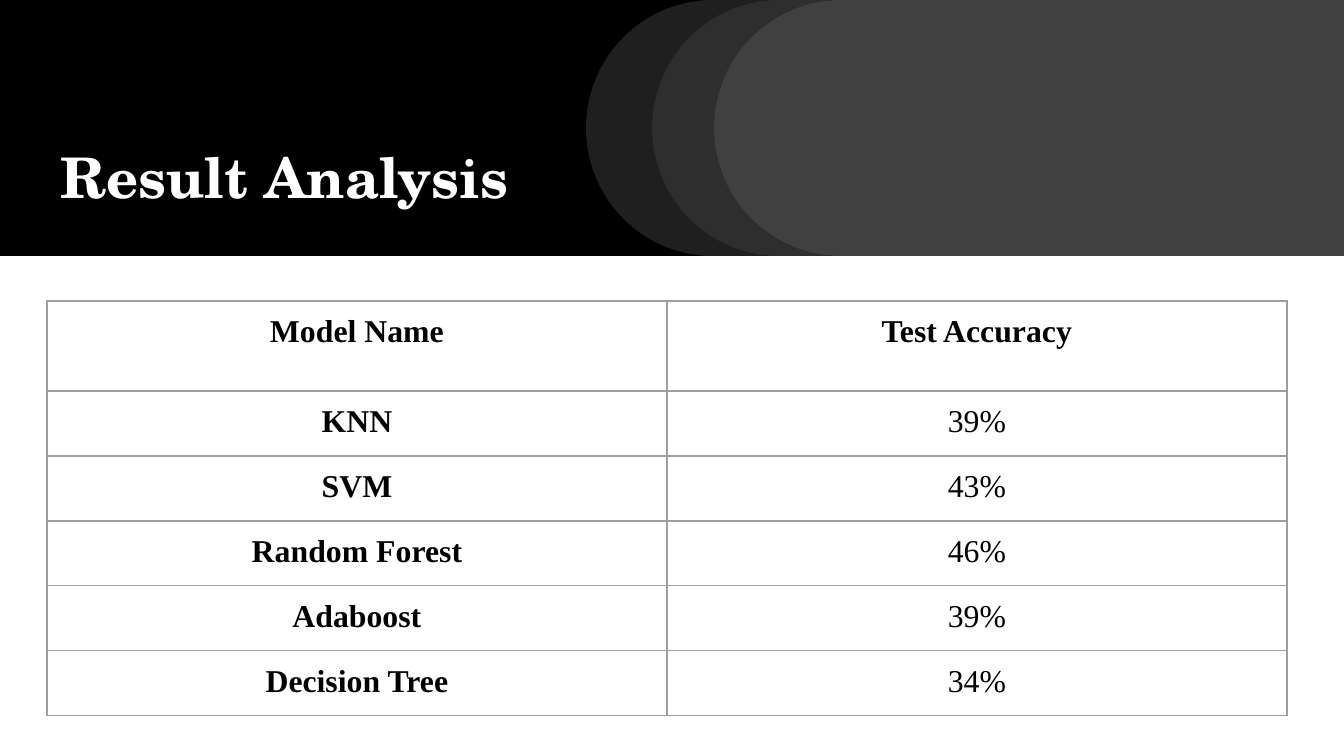
from dataclasses import dataclass

from lxml import etree
from pptx import Presentation
from pptx import util as u
from pptx.dml.color import RGBColor
from pptx.enum import shapes, text
from pptx.oxml import ns

EMU_PER_PX = 914400 / 134.4
SLIDE_W, SLIDE_H = 1344, 756
BANNER_H = 256
INSET = 13

RESULTS = [
    ("Model Name", "Test Accuracy"),
    ("KNN", "39%"),
    ("SVM", "43%"),
    ("Random Forest", "46%"),
    ("Adaboost", "39%"),
    ("Decision Tree", "34%"),
]


@dataclass(frozen=True)
class Theme:
    dark: str = "000000"
    light: str = "FFFFFF"
    border: str = "9E9E9E"
    title_font: str = "TeX Gyre Schola"
    table_font: str = "Times New Roman"
    title_size: int = 30
    table_size: int = 17
    border_width: float = 0.75


THEME = Theme()


def px(length):
    return u.Emu(round(length * EMU_PER_PX))


def set_attributes(target, values):
    for name, value in values.items():
        setattr(target, name, value)


def add_panel(slide, kind, box, color, opacity=100, rotation=0):
    """Add a borderless filled shape; opacity is a percentage."""
    panel = slide.shapes.add_shape(kind, *map(px, box))
    panel.rotation = rotation
    panel.shadow.inherit = False
    panel.line.fill.background()
    panel.fill.solid()
    panel.fill.fore_color.rgb = RGBColor.from_string(color)
    if opacity < 100:
        fill_color = panel._element.spPr.find(ns.qn("a:solidFill"))[0]
        etree.SubElement(fill_color, ns.qn("a:alpha"), val=str(opacity * 1000))


def add_banner(slide):
    rectangle = shapes.MSO_SHAPE.RECTANGLE
    curve = shapes.MSO_SHAPE.FLOWCHART_DELAY
    add_panel(slide, rectangle, (0, 0, SLIDE_W, BANNER_H), THEME.dark)
    add_panel(slide, rectangle, (962, 0, SLIDE_W - 962, BANNER_H), THEME.light, 25)
    for left, opacity in ((586, 12), (652, 18), (714, 25)):
        box = (left, 0, 254, BANNER_H)
        add_panel(slide, curve, box, THEME.dark, rotation=180)
        add_panel(slide, curve, box, THEME.light, opacity, rotation=180)


def write_text(paragraph, wording, font, size, color, bold):
    run = paragraph.add_run()
    run.text = wording
    set_attributes(run.font, {"name": font, "size": u.Pt(size), "bold": bold})
    run.font.color.rgb = RGBColor.from_string(color)


def add_title(slide, wording):
    frame = slide.shapes.add_textbox(*map(px, (47, 22, 1249, 201))).text_frame
    sides = ("left", "top", "right", "bottom")
    set_attributes(frame, {f"margin_{side}": px(INSET) for side in sides})
    set_attributes(frame, {"word_wrap": True,
                           "vertical_anchor": text.MSO_ANCHOR.BOTTOM})
    write_text(frame.paragraphs[0], wording, THEME.title_font,
               THEME.title_size, THEME.light, True)


def add_cell_borders(cell):
    properties = cell._tc.get_or_add_tcPr()
    for position, edge in enumerate(("a:lnL", "a:lnR", "a:lnT", "a:lnB")):
        line = etree.Element(ns.qn(edge), w=str(u.Pt(THEME.border_width)))
        fill = etree.SubElement(line, ns.qn("a:solidFill"))
        etree.SubElement(fill, ns.qn("a:srgbClr"), val=THEME.border)
        properties.insert(position, line)


def fill_cell(cell, wording, bold):
    sides = ("left", "top", "right", "bottom")
    set_attributes(cell, {f"margin_{side}": px(INSET) for side in sides})
    cell.fill.background()
    add_cell_borders(cell)
    paragraph = cell.text_frame.paragraphs[0]
    paragraph.alignment = text.PP_ALIGN.CENTER
    write_text(paragraph, wording, THEME.table_font, THEME.table_size,
               THEME.dark, bold)


def add_results_table(slide, rows):
    column_w, header_h, row_h = 620, 90, 65
    columns = len(rows[0])
    height = header_h + row_h * (len(rows) - 1)
    box = (47, 301, column_w * columns, height)
    table = slide.shapes.add_table(len(rows), columns, *map(px, box)).table
    set_attributes(table, {"first_row": False, "horz_banding": False})
    for column in table.columns:
        column.width = px(column_w)
    for r, row in enumerate(rows):
        table.rows[r].height = px(row_h if r else header_h)
        for c, wording in enumerate(row):
            fill_cell(table.cell(r, c), wording, bold=r == 0 or c == 0)


def main():
    deck = Presentation()
    set_attributes(deck, {"slide_width": px(SLIDE_W), "slide_height": px(SLIDE_H)})
    slide = deck.slides.add_slide(deck.slide_layouts[6])
    add_banner(slide)
    add_title(slide, "Result Analysis")
    add_results_table(slide, RESULTS)
    deck.save("out.pptx")


if __name__ == "__main__":
    main()
